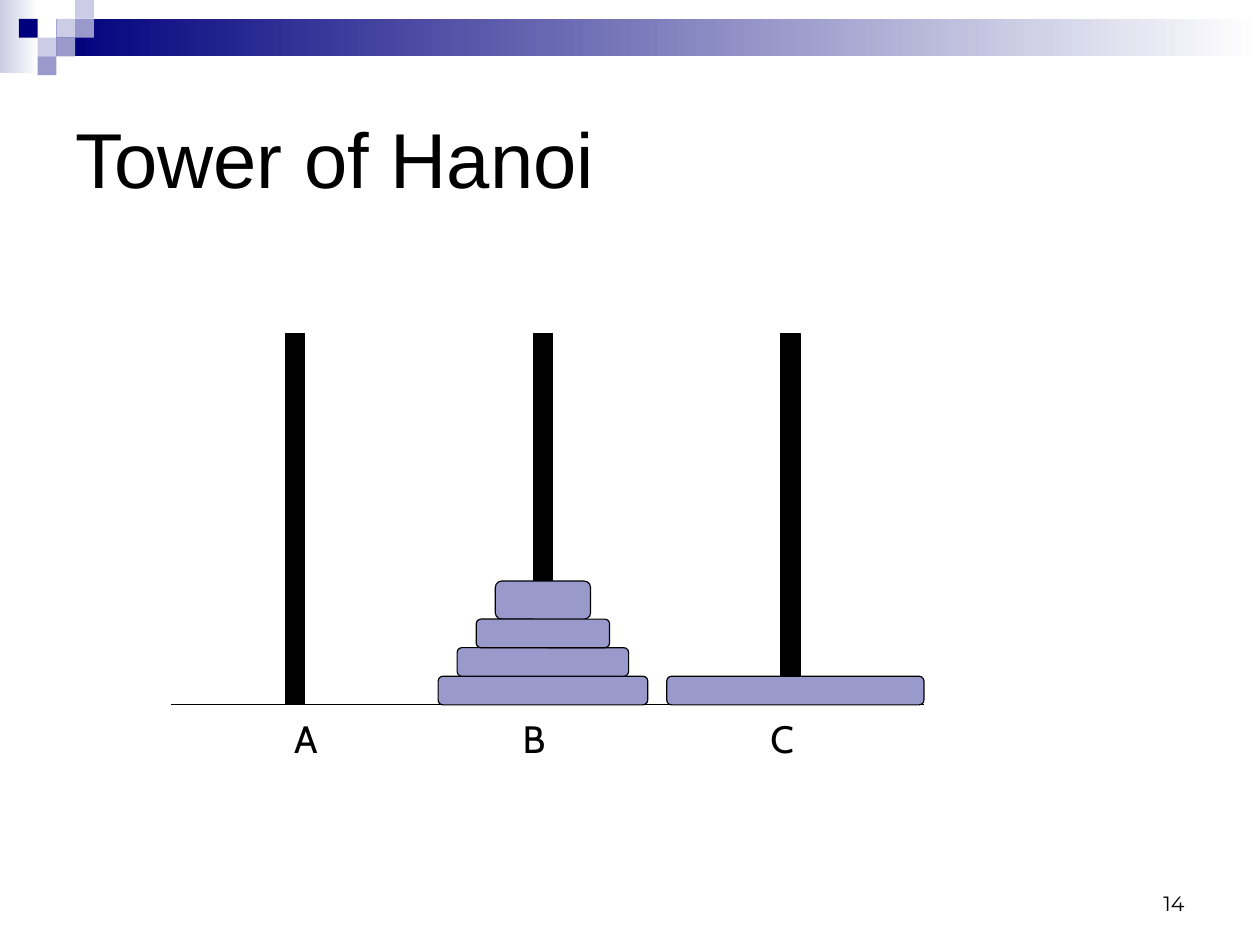
from dataclasses import dataclass

from pptx import Presentation
from pptx.dml.color import RGBColor
from pptx.enum.shapes import MSO_CONNECTOR, MSO_SHAPE
from pptx.enum.text import MSO_ANCHOR, MSO_AUTO_SIZE, PP_ALIGN
from pptx.oxml.ns import qn
from pptx.util import Cm, Inches, Pt

COLORS = {
    "navy": "00007D",
    "violet": "9999CC",
    "lilac": "CCCCE6",
    "white": "FFFFFF",
    "black": "000000",
}
WIDTH, HEIGHT = Cm(28).inches, Cm(21).inches
PIXEL = WIDTH / 67
CELL = 1 / 6
PEG_TOP, BASE_ROW = 17.5, 37
MARGINS = {
    "margin_left": Inches(0.11),
    "margin_right": Inches(0.11),
    "margin_top": Inches(0.06),
    "margin_bottom": Inches(0.06),
}


@dataclass
class Block:
    col: float
    row: float
    cols: float
    rows: float
    fill: str
    fade: str = ""
    kind: MSO_SHAPE = MSO_SHAPE.RECTANGLE
    outlined: bool = False


@dataclass
class Label:
    text: str
    col: float


HEADER = [
    Block(0, 0, 2.05, 3.9, "lilac", "white"),
    Block(3, 1, 64, 2, "navy", "white"),
] + [
    Block(col, row, 1, 1, fill)
    for col, row, fill in [
        (3, 1, "lilac"), (4, 0, "lilac"), (4, 1, "violet"), (2, 2, "lilac"),
        (1, 1, "navy"), (3, 2, "violet"), (2, 3, "violet"),
    ]
]
PEGS = [
    Block(15 + 13 * i, PEG_TOP, 1, BASE_ROW - PEG_TOP, "black", outlined=True)
    for i in range(3)
]
DISKS = [
    Block(col, row, cols, rows, "violet", kind=MSO_SHAPE.ROUNDED_RECTANGLE, outlined=True)
    for col, row, cols, rows in [(35, 35.5, 13.5, 1.5), (26, 30.5, 5, 2)]
    + [(23 + i, 35.5 - 1.5 * i, 11 - 2 * i, 1.5) for i in range(3)]
]
LABELS = [Label("A", 14.85), Label("B", 26.85), Label("C", 39.85)]


def rgb(name: str) -> RGBColor:
    return RGBColor.from_string(COLORS[name])


def apply(obj, values: dict) -> None:
    for name, value in values.items():
        setattr(obj, name, value)


def place(sp, left: float, top: float, width: float, height: float) -> None:
    apply(sp, {
        "left": Inches(left), "top": Inches(top),
        "width": Inches(width), "height": Inches(height),
    })


def draw_block(s, block: Block, unit: float) -> None:
    box = (block.col, block.row, block.cols, block.rows)
    sp = s.shapes.add_shape(block.kind, *(Inches(n * unit) for n in box))
    sp.shadow.inherit = False
    if block.fade:
        sp.fill.gradient()
        sp.fill.gradient_angle = 0
        for stop, name in zip(sp.fill.gradient_stops, (block.fill, block.fade)):
            stop.color.rgb = rgb(name)
    else:
        sp.fill.solid()
        sp.fill.fore_color.rgb = rgb(block.fill)
    if block.outlined:
        sp.line.color.rgb = rgb("black")
        sp.line.width = Pt(0.75)
    else:
        sp.line.fill.background()


def draw_base(s) -> None:
    y = Inches(BASE_ROW * CELL)
    line = s.shapes.add_connector(
        MSO_CONNECTOR.STRAIGHT, Inches(9 * CELL), y, Inches(48.5 * CELL), y
    )
    line.line.color.rgb = rgb("black")
    line.line.width = Pt(0.75)
    sp_pr = line._element.spPr
    sp_pr.append(sp_pr.makeelement(qn("a:effectLst"), {}))


def write(sp, text: str, font: str, size: float, align: PP_ALIGN, frame: dict) -> None:
    tf = sp.text_frame
    apply(tf, frame)
    p = tf.paragraphs[0]
    p.alignment = align
    r = p.add_run()
    r.text = text
    apply(r.font, {"name": font, "size": Pt(size)})
    r.font.color.rgb = rgb("black")


def draw_label(s, label: Label) -> None:
    sp = s.shapes.add_textbox(0, 0, 0, 0)
    place(sp, label.col * CELL, 37.25 * CELL, 0.41, 0.5)
    write(sp, label.text, "Cabin", 24, PP_ALIGN.LEFT, {
        "word_wrap": False, "auto_size": MSO_AUTO_SIZE.SHAPE_TO_FIT_TEXT,
    })


def main() -> None:
    prs = Presentation()
    prs.slide_width = Cm(28)
    prs.slide_height = Cm(21)
    s = prs.slides.add_slide(prs.slide_layouts[5])

    for block in HEADER:
        draw_block(s, block, PIXEL)

    title = s.shapes.title
    place(title, 0.05 * WIDTH, HEIGHT / 15, 0.9 * WIDTH, 0.2 * HEIGHT)
    write(title, "Tower of Hanoi", "Arial", 49, PP_ALIGN.LEFT, MARGINS | {
        "word_wrap": True, "auto_size": MSO_AUTO_SIZE.NONE,
        "vertical_anchor": MSO_ANCHOR.MIDDLE,
    })

    number = s.shapes.add_textbox(0, 0, 0, 0)
    place(number, 0.72 * WIDTH, 0.91 * HEIGHT, 0.23 * WIDTH, HEIGHT / 15)
    write(number, "14", "Montserrat", 13, PP_ALIGN.RIGHT, MARGINS | {
        "word_wrap": True, "vertical_anchor": MSO_ANCHOR.BOTTOM,
    })

    for peg in PEGS:
        draw_block(s, peg, CELL)
    draw_base(s)
    for disk in DISKS:
        draw_block(s, disk, CELL)
    for label in LABELS:
        draw_label(s, label)

    prs.save("out.pptx")


if __name__ == "__main__":
    main()
